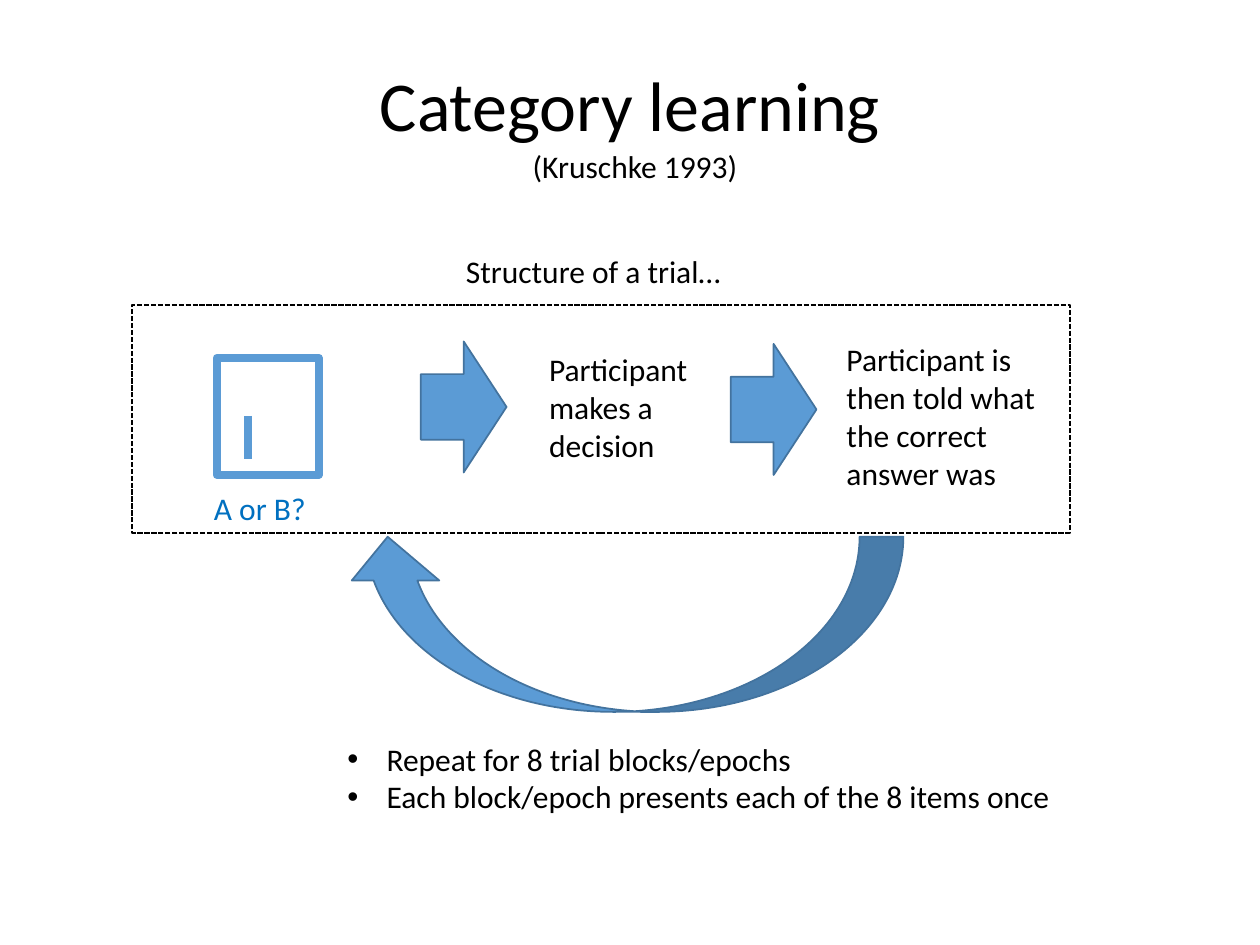
from lxml.etree import SubElement
from pptx import Presentation
from pptx.dml.color import RGBColor
from pptx.enum.dml import MSO_LINE
from pptx.enum.shapes import MSO_CONNECTOR, MSO_SHAPE
from pptx.enum.text import MSO_ANCHOR, PP_ALIGN
from pptx.oxml.ns import qn
from pptx.util import Inches, Pt

COLORS = {"black": "000000", "blue": "5B9BD5", "edge": "43739E", "ask": "0070C0"}
FONT = "Calibri"


def color(name):
    return RGBColor.from_string(COLORS[name])


def set_line(line, name, width):
    line.color.rgb = color(name)
    line.width = Pt(width)


def add_bullet(para):
    props = para._p.get_or_add_pPr()
    props.set("marL", str(Inches(0.31)))
    props.set("indent", str(-Inches(0.31)))
    SubElement(props, qn("a:buFont"), typeface="Arial")
    SubElement(props, qn("a:buChar"), char="•")


def add_text(slide, box, text, size=18, ink="black", wrap=True, bullets=False):
    """Add a text box with one paragraph per line of text."""
    frame = slide.shapes.add_textbox(*map(Inches, box)).text_frame
    frame.word_wrap = wrap
    frame.text = text
    for para in frame.paragraphs:
        if bullets:
            add_bullet(para)
        for run in para.runs:
            run.font.name = FONT
            run.font.size = Pt(size)
            run.font.color.rgb = color(ink)
    return frame


def add_title(slide, box, text):
    frame = add_text(slide, box, text, size=40)
    frame.vertical_anchor = MSO_ANCHOR.MIDDLE
    para = frame.paragraphs[0]
    para.alignment = PP_ALIGN.CENTER
    para.line_spacing = 0.9


def add_frame(shapes, box, edge, width):
    """Add an unfilled rectangle."""
    rect = shapes.add_shape(MSO_SHAPE.RECTANGLE, *map(Inches, box))
    rect.shadow.inherit = False
    rect.fill.background()
    set_line(rect.line, edge, width)
    return rect


def add_arrow(slide, kind, box):
    arrow = slide.shapes.add_shape(kind, *map(Inches, box))
    arrow.shadow.inherit = False
    arrow.fill.solid()
    arrow.fill.fore_color.rgb = color("blue")
    set_line(arrow.line, "edge", 1)
    return arrow


def add_item(slide):
    """Add the stimulus: a square with a short bar inside."""
    group = slide.shapes.add_group_shape()
    add_frame(group.shapes, (1.72, 2.84, 0.81, 0.93), "blue", 4.5)
    ends = map(Inches, (1.97, 3.3, 1.97, 3.64))
    bar = group.shapes.add_connector(MSO_CONNECTOR.STRAIGHT, *ends)
    set_line(bar.line, "blue", 4.5)
    SubElement(bar._element.spPr, qn("a:effectLst"))


def add_trial(slide):
    add_text(slide, (3.6, 1.95, 2.34, 0.4), "Structure of a trial…", wrap=False)
    border = add_frame(slide.shapes, (1.05, 2.42, 7.44, 1.81), "black", 1)
    border.line.dash_style = MSO_LINE.SQUARE_DOT
    add_item(slide)
    add_text(slide, (1.6, 3.83, 1.36, 0.4), "A or B?", ink="ask")
    for left, top in ((3.34, 2.71), (5.8, 2.73)):
        add_arrow(slide, MSO_SHAPE.RIGHT_ARROW, (left, top, 0.68, 1.04))
    add_text(slide, (4.26, 2.73, 1.4, 1.01), "Participant makes a decision")
    add_text(slide, (6.62, 2.65, 1.7, 1.31),
             "Participant is then told what the correct answer was")


def add_loop(slide):
    """Add the curved arrow back to the start, and its rules."""
    loop = add_arrow(slide, MSO_SHAPE.CURVED_UP_ARROW, (2.73, 4.26, 4.44, 1.39))
    loop._element.spPr.xfrm.set("flipH", "1")
    add_text(slide, (2.66, 5.82, 5.83, 0.71),
             "Repeat for 8 trial blocks/epochs\n"
             "Each block/epoch presents each of the 8 items once",
             wrap=False, bullets=True)


def main():
    deck = Presentation()
    deck.slide_width, deck.slide_height = Inches(10), Inches(7.5)
    slide = deck.slides.add_slide(deck.slide_layouts[6])
    add_title(slide, (0.69, 0.4, 8.62, 0.92), "Category learning")
    add_text(slide, (4.13, 1.12, 1.9, 0.4), "(Kruschke 1993)", wrap=False)
    add_trial(slide)
    add_loop(slide)
    deck.save("out.pptx")


if __name__ == "__main__":
    main()
